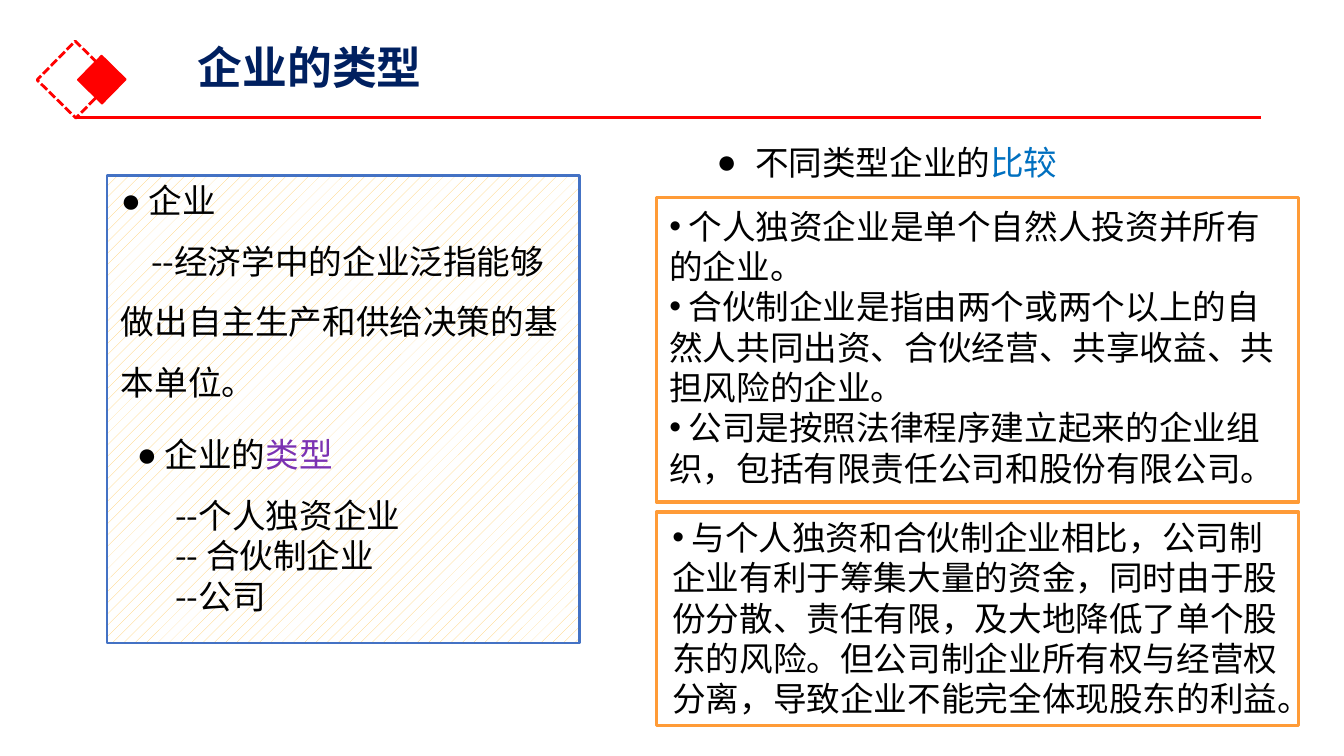
from pptx import Presentation
from pptx.dml.color import RGBColor
from pptx.enum import dml, shapes, text
from pptx.oxml import ns
from pptx.util import Inches, Pt
from lxml import etree

FONT = "Noto Sans CJK SC"


def rgb(value):
    return RGBColor.from_string(value)


def add_tag(parent, tag, **attrs):
    return etree.SubElement(parent, ns.qn(tag), **attrs)


class Page:
    def __init__(self, prs):
        self.s = prs.slides.add_slide(prs.slide_layouts[5])

    def style(self, r, size=24, color="000000", bold=False):
        r.font.name, r.font.size, r.font.bold = FONT, Pt(size), bold
        r.font.color.rgb = rgb(color)
        add_tag(r.font._element, "a:ea", typeface=FONT)

    def title(self, box, words):
        sp = self.s.shapes.title
        sp.left, sp.top, sp.width, sp.height = map(Inches, box)
        tf = sp.text_frame
        tf.text = words
        tf.vertical_anchor = text.MSO_ANCHOR.TOP
        tf.margin_top = 0
        p = tf.paragraphs[0]
        p.alignment, p.line_spacing = text.PP_ALIGN.LEFT, 0.9
        self.style(p.runs[0], 32, "002060", True)

    def rect(self, box, line, width, fill=None, pattern=None, rotation=0, dash=None):
        sp = self.s.shapes.add_shape(shapes.MSO_SHAPE.RECTANGLE, *map(Inches, box))
        sp.shadow.inherit = False
        sp.rotation = rotation
        if pattern:
            sp.fill.patterned()
            sp.fill.pattern = pattern
            sp.fill.fore_color.rgb, sp.fill.back_color.rgb = rgb(fill), rgb("FFFFFF")
        elif fill:
            sp.fill.solid()
            sp.fill.fore_color.rgb = rgb(fill)
        else:
            sp.fill.background()
        sp.line.color.rgb, sp.line.width = rgb(line), Pt(width)
        if dash:
            sp.line.dash_style = dash

    def line(self, x1, x2, y, color, width):
        c = self.s.shapes.add_connector(shapes.MSO_CONNECTOR.STRAIGHT,
                                        *map(Inches, (x1, y, x2, y)))
        c.line.color.rgb, c.line.width = rgb(color), Pt(width)
        add_tag(c._element.spPr, "a:effectLst")

    def text(self, box, paragraphs, wrap=True):
        """Each paragraph: (runs, bullet, left margin, indent, line spacing); a run: (words, colour)."""
        tf = self.s.shapes.add_textbox(*map(Inches, box)).text_frame
        tf.word_wrap = wrap
        for i, (runs, bullet, margin, indent, spacing) in enumerate(paragraphs):
            p = tf.add_paragraph() if i else tf.paragraphs[0]
            p.line_spacing = spacing
            pPr = p._p.get_or_add_pPr()
            pPr.set("marL", str(Inches(margin)))
            pPr.set("indent", str(Inches(indent)))
            if bullet:
                add_tag(pPr, "a:buFont", typeface="Arial")
                add_tag(pPr, "a:buChar", char=bullet)
            for words, color in runs:
                r = p.add_run()
                r.text = words
                self.style(r, color=color)


def para(words, bullet=None, margin=0, indent=0, spacing=1.0, accent=None):
    """Black words, with an optional (words, colour) ending."""
    return [(words, "000000")] + ([accent] if accent else []), bullet, margin, indent, spacing


def main():
    prs = Presentation()
    prs.slide_width, prs.slide_height = Inches(13.33), Inches(7.5)
    page = Page(prs)

    page.rect((1.06, 1.74, 4.69, 4.64), "4472C4", 1.75, "FFCC66",
              dml.MSO_PATTERN.PERCENT_10)
    page.rect((0.48, 0.52, 0.54, 0.54), "FF0000", 2, rotation=314.5,
              dash=dml.MSO_LINE.SQUARE_DOT)
    page.rect((0.84, 0.62, 0.34, 0.34), "FF0000", 1, "FF0000", rotation=314.5)
    page.line(0.75, 12.51, 1.17, "FF0000", 2.25)
    page.title((1.86, 0.45, 11.5, 0.95), "企业的类型")

    page.text((6.57, 5.08, 6.2, 2.12), [
        para(" 与个人独资和合伙制企业相比，公司制企业有利于筹集大量的资金，同时由于股份分散、"
             "责任有限，及大地降低了单个股东的风险。但公司制企业所有权与经营权分离，"
             "导致企业不能完全体现股东的利益。", "•")])
    page.text((6.54, 1.99, 6.23, 2.93), [para(words, "•") for words in (
        " 个人独资企业是单个自然人投资并所有的企业。",
        " 合伙制企业是指由两个或两个以上的自然人共同出资、合伙经营、共享收益、共担风险的企业。",
        " 公司是按照法律程序建立起来的企业组织，包括有限责任公司和股份有限公司。")])
    page.text((6.01, 1.36, 4.58, 0.5), [
        para("不同类型企业的", "●", 1.38, -0.38, accent=("比较", "0070C0"))], wrap=False)
    page.text((1.1, 1.54, 4.7, 2.93), [
        para(" 企业", "●", spacing=1.5),
        para("--经济学中的企业泛指能够做出自主生产和供给决策的基本单位。",
             indent=0.3, spacing=1.5)])
    page.text((1.26, 4.06, 3.58, 2.73), [
        para(" 企业的", "●", spacing=1.5, accent=("类型", "7B32B2")),
        para("--个人独资企业", indent=0.38, spacing=1.5),
        para("-- 合伙制企业", indent=0.38),
        para("--公司", indent=0.38)])

    for top, height in ((5.08, 2.12), (1.96, 3.02)):
        page.rect((6.51, top, 6.37, height), "FF9B37", 2.25)
    prs.save("out.pptx")


if __name__ == "__main__":
    main()
